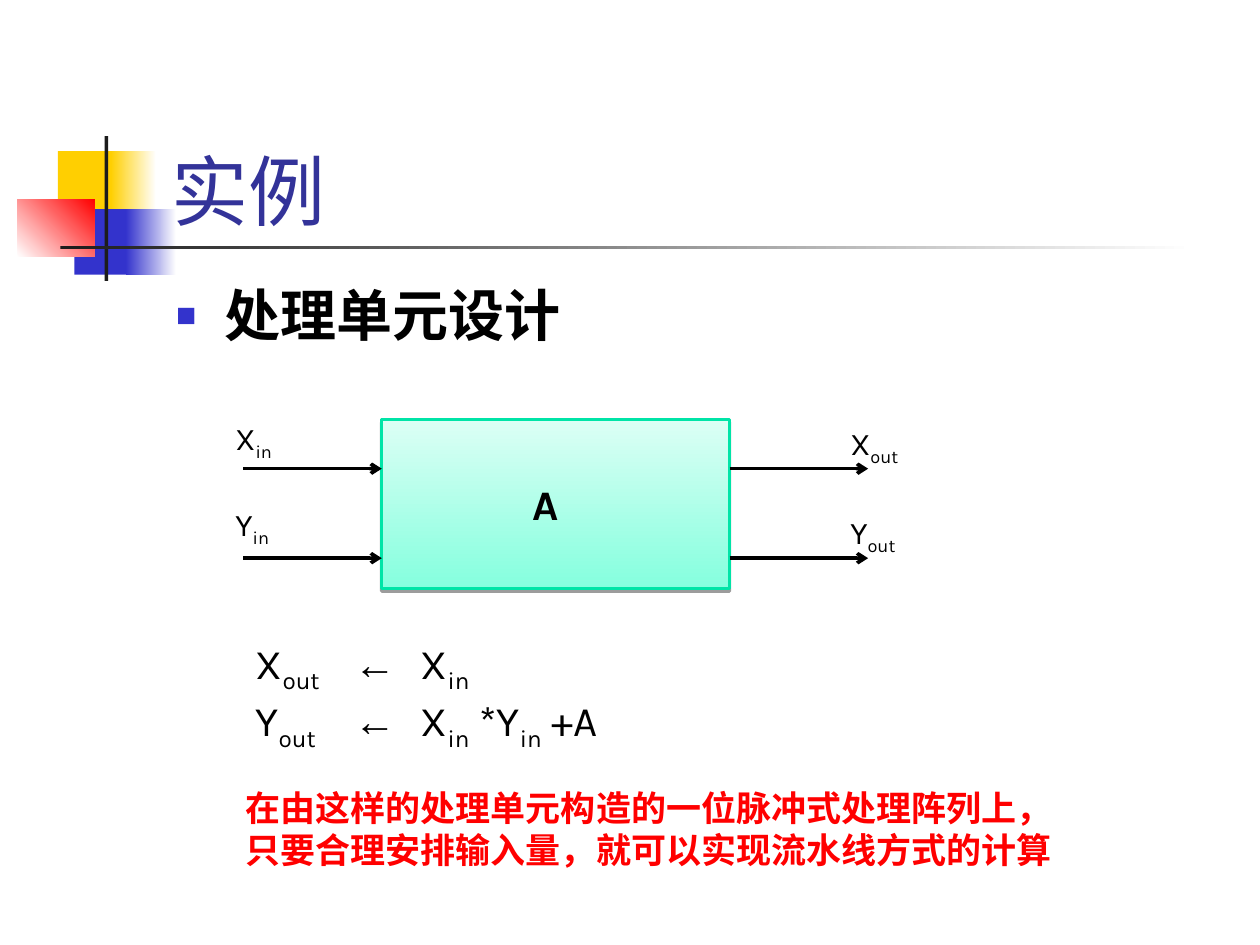
from dataclasses import dataclass

from pptx import Presentation
from pptx.dml.color import RGBColor as RGB
from pptx.enum.shapes import MSO_CONNECTOR as CONNECTOR, MSO_SHAPE as SHAPE
from pptx.enum.text import MSO_ANCHOR as ANCHOR
from pptx.oxml.ns import qn
from pptx.util import Pt
from lxml.etree import SubElement

PX = 9144  # EMU per px, 100 px to the inch


@dataclass(frozen=True)
class Theme:
    font: str = "Karla"
    symbol_font: str = "Arial"
    text: str = "000000"
    title: str = "333399"
    emphasis: str = "FF0000"
    paper: str = "FFFFFF"
    yellow: str = "FFCF01"
    blue: str = "3333CC"
    red: str = "FF0000"
    ink: str = "1C1C1C"
    unit_low: str = "85FFDE"
    unit_high: str = "DCFFF5"
    unit_edge: str = "00E4A7"
    title_size: int = 44
    heading_size: int = 32
    formula_size: int = 24
    note_size: int = 20
    signal_size: int = 18
    line_width: int = 2


THEME = Theme()


def emu(*lengths):
    return [length * PX for length in lengths]


def add_xml(parent, tag, **attributes):
    return SubElement(parent, qn(tag), {key: str(value) for key, value in attributes.items()})


def add_block(slide, box, start, end=None, angle=0):
    """Rectangle without outline: plain, or a gradient when end is given."""
    block = slide.shapes.add_shape(SHAPE.RECTANGLE, *emu(*box))
    block.shadow.inherit = False
    block.line.fill.background()
    if end is None:
        block.fill.solid()
        block.fill.fore_color.rgb = RGB.from_string(start)
    else:
        block.fill.gradient()
        block.fill.gradient_angle = angle
        for stop, color in zip(block.fill.gradient_stops, (start, end)):
            stop.color.rgb = RGB.from_string(color)
    return block


def add_run(paragraph, text, size, color=THEME.text, bold=False, font=THEME.font, subscript=False):
    run = paragraph.add_run()
    run.text = text
    run.font.size = Pt(size)
    run.font.name = font
    run.font.bold = bold
    run.font.color.rgb = RGB.from_string(color)
    if subscript:
        run.font._element.set("baseline", "-25000")


def add_frame(slide, box, anchor=ANCHOR.TOP):
    frame = slide.shapes.add_textbox(*emu(*box)).text_frame
    frame.word_wrap = True
    frame.vertical_anchor = anchor
    return frame


def add_ornament(slide, box):
    """Coloured squares, crossed by a vertical bar and a fading rule."""
    left, top, width, _ = box
    parts = [
        ((32, 12, 48, 52), THEME.yellow),
        ((74, 12, 36, 52), THEME.yellow, THEME.paper),
        ((45, 58, 46, 52), THEME.blue),
        ((86, 58, 40, 52), THEME.blue, THEME.paper),
        ((0, 50, 61, 46), THEME.paper, THEME.red, 45),
        ((69, 0, 3, 115), THEME.ink),
        ((34, 87, width - 34, 3), THEME.ink, THEME.paper),
    ]
    for (x, y, w, h), *paint in parts:
        add_block(slide, (left + x, top + y, w, h), *paint)


def add_title(slide, box):
    frame = add_frame(slide, box, ANCHOR.BOTTOM)
    add_run(frame.paragraphs[0], "实例", THEME.title_size, THEME.title)


def add_heading(slide, box):
    paragraph = add_frame(slide, box).paragraphs[0]
    paragraph.space_before = Pt(8)
    props = paragraph._p.get_or_add_pPr()
    props.set("marL", str(38 * PX))
    props.set("indent", str(-38 * PX))
    add_xml(add_xml(props, "a:buClr"), "a:srgbClr", val=THEME.blue)
    add_xml(props, "a:buSzPct", val=60000)
    add_xml(props, "a:buFont", typeface=THEME.symbol_font)
    add_xml(props, "a:buChar", char="■")
    add_run(paragraph, "处理单元设计", THEME.heading_size, bold=True)


def add_unit(slide, box):
    unit = add_block(slide, box, THEME.unit_low, THEME.unit_high, 90)
    unit.line.color.rgb = RGB.from_string(THEME.unit_edge)
    unit.line.width = Pt(THEME.line_width)
    effects = unit._element.spPr.find(qn("a:effectLst"))
    shadow = add_xml(effects, "a:outerShdw", blurRad=0, dist=Pt(1.6), dir=5400000, rotWithShape=0)
    add_xml(add_xml(shadow, "a:srgbClr", val="000000"), "a:alpha", val=38000)
    frame = unit.text_frame
    frame.vertical_anchor = ANCHOR.MIDDLE
    frame.margin_left = 120 * PX
    paragraph = frame.paragraphs[0]
    paragraph.alignment = 1
    add_run(paragraph, "A", THEME.formula_size, bold=True)


def add_arrow(slide, x, y, length):
    arrow = slide.shapes.add_connector(CONNECTOR.STRAIGHT, *emu(x, y, x + length, y))
    arrow.line.color.rgb = RGB.from_string(THEME.text)
    arrow.line.width = Pt(THEME.line_width)
    add_xml(arrow.line._ln, "a:tailEnd", type="arrow")
    add_xml(arrow._element.spPr, "a:effectLst")


def add_signal(slide, box, letter, index):
    paragraph = add_frame(slide, box).paragraphs[0]
    add_run(paragraph, letter, THEME.signal_size)
    add_run(paragraph, index, THEME.signal_size, subscript=True)


def add_diagram(slide, box):
    """Processing unit with two signals in on the left and two out on the right."""
    left, top, width, height = box
    reach = 110
    add_unit(slide, (left + reach, top, width - 2 * reach, height))
    for y in (39, 110):
        for x in (0, width - reach):
            add_arrow(slide, left + x, top + y, reach)
    signals = [
        (-16, -5, "X", "in"), (-16, 63, "Y", "in"),
        (472, -1, "X", "out"), (472, 69, "Y", "out"),
    ]
    for x, y, letter, index in signals:
        add_signal(slide, (left + x, top + y, 87, 44), letter, index)


def add_formulas(slide, box):
    """Two assignments whose arrows and right sides stand on tab stops."""
    frame = add_frame(slide, box)
    formulas = [
        ("X", [("X", "in")]),
        ("Y", [("X", "in"), (" *Y", "in"), (" +A", "")]),
    ]
    for row, (target, terms) in enumerate(formulas):
        paragraph = frame.add_paragraph() if row else frame.paragraphs[0]
        stops = add_xml(paragraph._p.get_or_add_pPr(), "a:tabLst")
        for position in (78, 131):
            add_xml(stops, "a:tab", pos=position * PX, algn="l")
        add_run(paragraph, target, THEME.formula_size)
        add_run(paragraph, "out\t", THEME.formula_size, subscript=True)
        add_run(paragraph, "←\t", THEME.formula_size, font=THEME.symbol_font)
        for term, index in terms:
            add_run(paragraph, term, THEME.formula_size)
            if index:
                add_run(paragraph, index, THEME.formula_size, subscript=True)


def add_conclusion(slide, box):
    paragraph = add_frame(slide, box).paragraphs[0]
    add_run(paragraph, "在由这样的处理单元构造的一位脉冲式处理阵列上，只要合理安排输入量，就可以实现流水线方式的计算",
            THEME.note_size, THEME.emphasis, bold=True)


def main():
    deck = Presentation()
    deck.slide_width, deck.slide_height = emu(1000, 750)
    slide = deck.slides.add_slide(deck.slide_layouts[6])
    add_ornament(slide, (14, 108, 934, 115))
    add_title(slide, (126, 67, 852, 125))
    add_heading(slide, (130, 218, 850, 71))
    add_diagram(slide, (193, 333, 496, 134))
    add_formulas(slide, (193, 501, 575, 101))
    add_conclusion(slide, (185, 619, 685, 77))
    deck.save("out.pptx")


if __name__ == "__main__":
    main()
